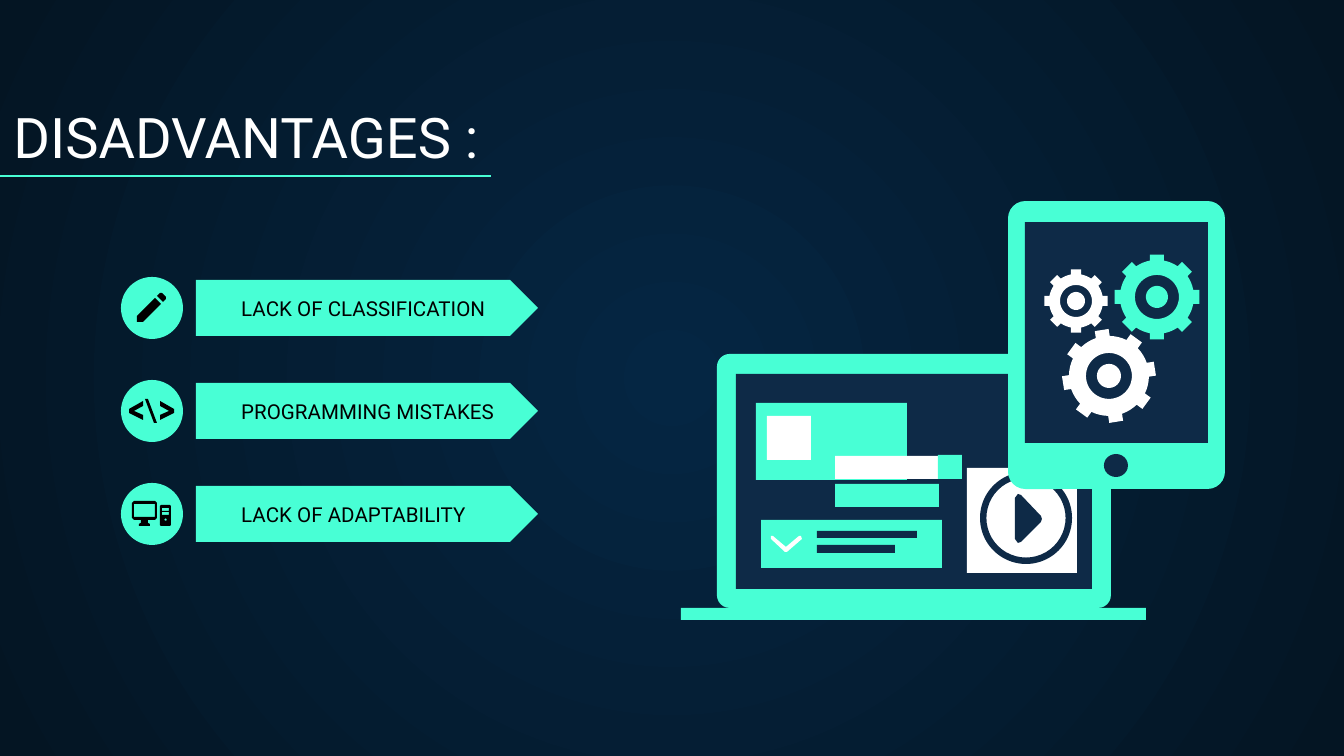
import math
import pptx
import pptx.util
import pptx.dml.color
import pptx.enum.shapes
import pptx.enum.text
import pptx.oxml
import lxml.etree

PX = 914400 / 134.4
MINT, NAVY, WHITE, BLACK = "48FFD5", "0E2A47", "FFFFFF", "000000"
NS = 'xmlns:a="http://schemas.openxmlformats.org/drawingml/2006/main"'
kinds = pptx.enum.shapes.MSO_SHAPE
rgb = pptx.dml.color.RGBColor.from_string

deck = pptx.Presentation()
deck.slide_width, deck.slide_height = round(1344 * PX), round(756 * PX)
slide = deck.slides.add_slide(deck.slide_layouts[5])
shapes = slide.shapes


def block(kind, x, y, w, h, color, adjust=None):
    """Add a plain filled preset shape, measured in px."""
    shape = shapes.add_shape(kind, *[round(v * PX) for v in (x, y, w, h)])
    shape.shadow.inherit = False
    shape.fill.solid()
    shape.fill.fore_color.rgb = rgb(color)
    shape.line.fill.background()
    if adjust is not None:
        shape.adjustments[0] = adjust


def outline(color, *loops):
    """Add one filled freeform; inner loops become holes."""
    loops = [[(x * PX, y * PX) for x, y in loop] for loop in loops]
    pen = shapes.build_freeform(*loops[0][0], scale=1.0)
    for i, loop in enumerate(loops):
        if i:
            pen.move_to(*loop[0])
        pen.add_line_segments(loop[1:], close=True)
    shape = pen.convert_to_shape()
    shape.shadow.inherit = False
    shape.fill.solid()
    shape.fill.fore_color.rgb = rgb(color)
    shape.line.fill.background()


# Background: radial gradient
back = slide.background.fill
back.gradient()
for stop, color in zip(back.gradient_stops, ("052643", "041523")):
    stop.color.rgb = rgb(color)
grad = slide.background._cSld.find(".//{*}gradFill")
grad.remove(grad.find("{*}lin"))
grad.append(pptx.oxml.parse_xml(
    f'<a:path {NS} path="circle">'
    '<a:fillToRect l="50000" t="50000" r="50000" b="50000"/></a:path>'))

# Arrow tags and icon discs
labels = ["LACK OF CLASSIFICATION", "PROGRAMMING MISTAKES", "LACK OF ADAPTABILITY"]
for i in range(len(labels)):
    block(kinds.PENTAGON, 196, 280 + 103 * i, 342, 56, MINT, 0.5)
    block(kinds.OVAL, 121, 277 + 103 * i, 62, 62, MINT)

# Title and labels
texts = [(shapes.title, "DISADVANTAGES :", 30, WHITE, (0, 94, 1298, 89))]
for i, label in enumerate(labels):
    field = shapes.add_textbox(0, 0, 0, 0)
    texts.append((field, label, 11, BLACK, (228, 306 + 103 * i, 305, 28)))
for field, words, size, color, place in texts:
    field.left, field.top, field.width, field.height = [round(v * PX) for v in place]
    frame = field.text_frame
    frame.word_wrap = True
    frame.auto_size = pptx.enum.text.MSO_AUTO_SIZE.NONE
    frame.vertical_anchor = pptx.enum.text.MSO_ANCHOR.BOTTOM
    frame.margin_left = frame.margin_right = pptx.util.Inches(0.1)
    frame.margin_top = frame.margin_bottom = pptx.util.Inches(0.1)
    para = frame.paragraphs[0]
    para.alignment = pptx.enum.text.PP_ALIGN.LEFT
    run = para.add_run()
    run.text = words
    run.font.name = "Roboto"
    run.font.size = pptx.util.Pt(size)
    run.font.color.rgb = rgb(color)

# Title rule
rule = shapes.add_connector(pptx.enum.shapes.MSO_CONNECTOR.STRAIGHT,
                            0, round(176 * PX), round(491 * PX), round(176 * PX))
rule.line.color.rgb = rgb(MINT)
rule.line.width = pptx.util.Pt(0.75)
lxml.etree.SubElement(rule._element.spPr, pptx.oxml.ns.qn("a:effectLst"))

# Pencil icon
outline(BLACK, [(155, 298), (137, 316), (137, 322), (143, 322), (161, 304)],
        [(160, 293), (162, 293), (166, 297), (166, 299), (163, 302), (157, 296)])

# Code icon: the right bracket mirrors the left
angle = [(143, 420), (129, 413), (129, 409), (143, 401),
         (143, 406), (134, 411), (143, 415)]
outline(BLACK, angle)
outline(BLACK, [(145, 399), (148, 399), (157, 423), (154, 423)])
outline(BLACK, [(303 - x, y) for x, y in angle])

# Computer icon: screen with stand, then tower
outline(BLACK,
        [(134, 501), (155, 501), (157, 503), (157, 518), (155, 520), (148, 520),
         (148, 523), (150, 524), (150, 526), (139, 526), (139, 524), (141, 523),
         (141, 520), (134, 520), (132, 518), (132, 503)],
        [(134, 504), (134, 517), (155, 517), (155, 504)])
outline(BLACK, [(161, 505), (170, 505), (171, 506), (171, 525), (170, 526),
                (161, 526), (160, 525), (160, 506)],
        *[[(162, y), (162, y + 3), (169, y + 3), (169, y)] for y in (508, 512)],
        [(164, 520), (166, 521), (167, 520), (166, 518)])

# Laptop and its windows, then the tablet
rect, soft, oval = kinds.RECTANGLE, kinds.ROUNDED_RECTANGLE, kinds.OVAL
for part in [
    (soft, 717, 354, 394, 254, MINT, 0.05),
    (rect, 736, 374, 356, 215, NAVY),
    (rect, 681, 608, 465, 12, MINT),
    (rect, 756, 403, 151, 77, MINT),
    (rect, 767, 416, 44, 44, WHITE),
    (rect, 761, 520, 181, 48, MINT),
    (rect, 817, 531, 100, 7, NAVY),
    (rect, 817, 545, 78, 8, NAVY),
    (rect, 835, 484, 104, 23, MINT),
    (rect, 835, 456, 104, 23, WHITE),
    (rect, 938, 455, 24, 24, MINT),
    (rect, 967, 468, 110, 105, WHITE),
    (kinds.DONUT, 980, 472, 92, 92, NAVY, 0.07),
    (soft, 1008, 201, 217, 288, MINT, 0.08),
    (rect, 1025, 222, 183, 221, NAVY),
    (oval, 1104, 454, 24, 23, NAVY),
]:
    block(*part)

# Check mark and play triangle
outline(WHITE, [(773, 536), (786, 547), (799, 536), (801, 536), (802, 539),
                (787, 552), (785, 552), (771, 539), (771, 536)])
outline(NAVY, [(1018, 494), (1021, 495), (1041, 516), (1042, 519), (1041, 522),
               (1021, 542), (1018, 543), (1015, 539), (1015, 498)])

# Gears: eight teeth, a ring-shaped gap and a hub
for x, y, tip, body, half, hole, hub, tilt, color in [
    (1157, 297, 43, 37, 7, 22, 11, 0, MINT),
    (1076, 301, 32, 27, 5, 16, 9, 0, WHITE),
    (1109, 376, 47, 40, 7, 23, 12, -9, WHITE),
]:
    step = math.pi / 4
    edge, root = math.asin(half / tip), math.asin(half / body)
    polar = []
    for k in range(8):
        mid = k * step + math.radians(tilt)
        polar += [(tip, mid - edge), (tip, mid + edge)]
        polar += [(body, mid + root + (step - 2 * root) * t / 4) for t in range(5)]
    rings = [polar] + [[(r, math.tau * t / 48) for t in range(48)] for r in (hole, hub)]
    outline(color, *[[(x + r * math.cos(a), y + r * math.sin(a)) for r, a in ring]
                     for ring in rings])

deck.save("out.pptx")
